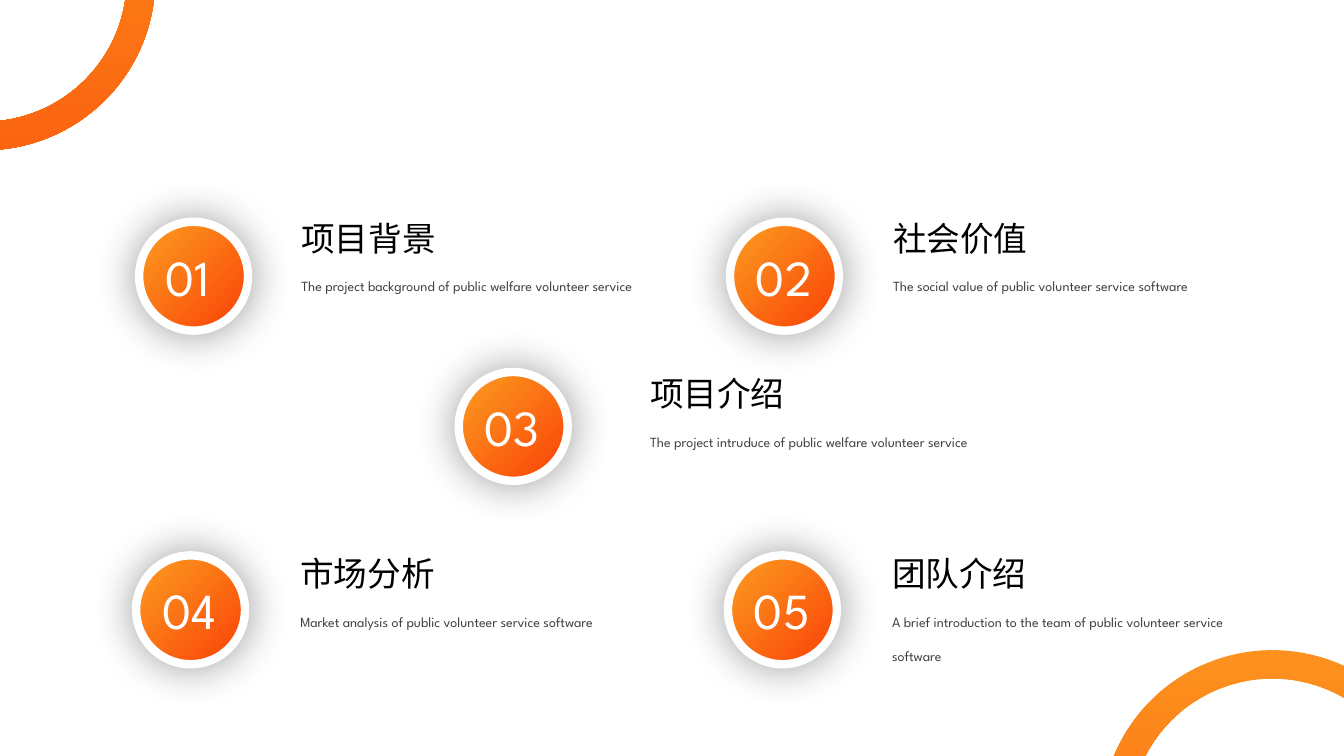
"""Build a contents slide with five numbered topics and two corner rings."""
from lxml import etree
from pptx import Presentation
from pptx.dml.color import RGBColor
from pptx.enum.shapes import MSO_SHAPE
from pptx.enum.text import MSO_AUTO_SIZE
from pptx.oxml.ns import qn
from pptx.util import Inches, Pt

OVAL, DONUT = MSO_SHAPE.OVAL, MSO_SHAPE.DONUT
GROW = MSO_AUTO_SIZE.SHAPE_TO_FIT_TEXT

COLORS = {"white": "FFFFFF", "black": "000000", "grey": "404040",
          "amber": "FC9F22", "red": "FA4006", "gold": "FC911E", "rust": "FB6410"}
LATIN, HAN = "League Spartan", "Noto Sans CJK SC"
STYLES = {
    "number": {"name": LATIN, "size": Pt(36), "color": "white"},
    "title": {"name": HAN, "size": Pt(24), "color": "black"},
    "note": {"name": LATIN, "size": Pt(10), "color": "grey"},
}
TOPICS = [
    ("01", "项目背景", "The project background of public welfare volunteer service",
     (1.38, 2.2), (2.89, 2.11), 0.72),
    ("02", "社会价值", "The social value of public volunteer service software",
     (7.24, 2.2), (8.76, 2.11), 0.38),
    ("03", "项目介绍", "The project intruduce of public welfare volunteer service",
     (4.55, 3.69), (6.35, 3.65), 0.72),
    ("04", "市场分析", "Market analysis of public volunteer service software",
     (1.35, 5.51), (2.88, 5.44), 0.38),
    ("05", "团队介绍", "A brief introduction to the team of public volunteer service software",
     (7.22, 5.51), (8.75, 5.44), 0.72),
]
RINGS = [(-1.86, -1.91), (10.92, 6.45)]
DISC, RING = 1.08, 3.4


def rgb(name):
    return RGBColor.from_string(COLORS[name])


def add_round(slide, kind, left, top, size, ends, angle):
    shape = slide.shapes.add_shape(kind, *map(Inches, (left, top, size, size)))
    shape.shadow.inherit = False
    shape.fill.gradient()
    shape.fill.gradient_angle = 360 - angle
    for stop, name in zip(shape.fill.gradient_stops, ends):
        stop.color.rgb = rgb(name)
    return shape


def add_glow(shape):
    effects = shape._element.spPr.find(qn("a:effectLst"))
    shadow = etree.SubElement(effects, qn("a:outerShdw"), blurRad=str(Pt(31)),
                              dist="0", dir="0", algn="ctr", rotWithShape="0")
    color = etree.SubElement(shadow, qn("a:srgbClr"), val=COLORS["black"])
    etree.SubElement(color, qn("a:alpha"), val="40000")


def add_text(slide, text, style, box, wrap=False, spacing=None):
    frame = slide.shapes.add_textbox(*map(Inches, box)).text_frame
    frame.word_wrap = wrap
    frame.auto_size = GROW
    para = frame.paragraphs[0]
    para.line_spacing = spacing
    run = para.add_run()
    run.text = text
    for key, value in STYLES[style].items():
        if key == "color":
            run.font.color.rgb = rgb(value)
        else:
            setattr(run.font, key, value)
    etree.SubElement(run._r.get_or_add_rPr(), qn("a:ea"), typeface=STYLES[style]["name"])


def add_topic(slide, number, title, note, disc, label, height):
    x, y = disc
    badge = add_round(slide, OVAL, x, y, DISC, ("amber", "red"), 45)
    badge.line.color.rgb = rgb("white")
    badge.line.width = Pt(6)
    add_glow(badge)
    add_text(slide, number, "number", (x + 0.16, y + 0.19, 0.76, 0.71))
    x, y = label
    add_text(slide, note, "note", (x, y + 0.43, 3.77, height), True, 2.0)
    add_text(slide, title, "title", (x, y, 1.55, 0.5))


def main():
    deck = Presentation()
    deck.slide_width, deck.slide_height = Inches(13.33), Inches(7.5)
    slide = deck.slides.add_slide(deck.slide_layouts[6])
    for topic in TOPICS:
        add_topic(slide, *topic)
    for left, top in RINGS:
        ring = add_round(slide, DONUT, left, top, RING, ("gold", "rust"), 90)
        ring.adjustments[0] = 0.083
        ring.line.fill.background()
    deck.save("out.pptx")


if __name__ == "__main__":
    main()
